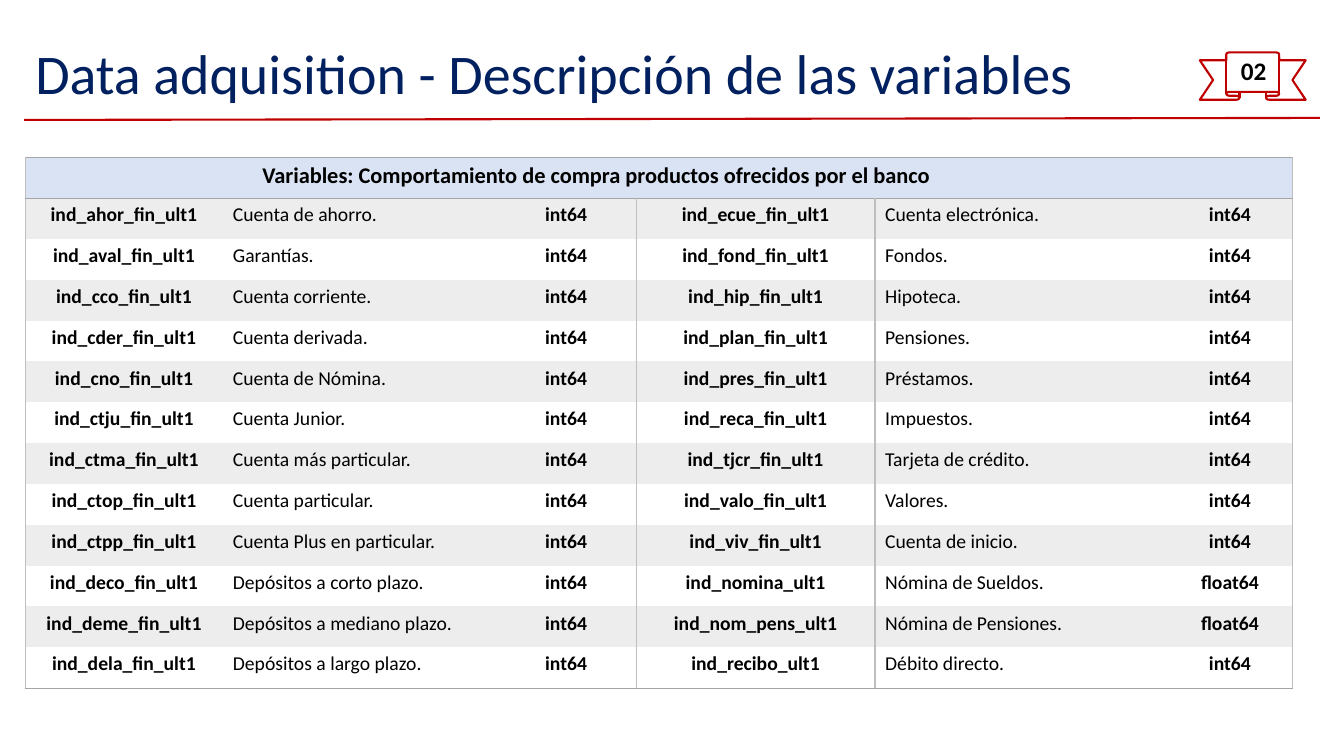
from lxml import etree
from pptx import Presentation
from pptx.dml.color import RGBColor
from pptx.enum.shapes import MSO_CONNECTOR, MSO_SHAPE
from pptx.enum.text import MSO_ANCHOR, MSO_AUTO_SIZE, PP_ALIGN
from pptx.oxml.ns import qn
from pptx.util import Inches, Pt

LEFT, CENTER = PP_ALIGN.LEFT, PP_ALIGN.CENTER
MIDDLE = MSO_ANCHOR.MIDDLE
NO_FIT, GROW = MSO_AUTO_SIZE.NONE, MSO_AUTO_SIZE.SHAPE_TO_FIT_TEXT
STRAIGHT, RIBBON = MSO_CONNECTOR.STRAIGHT, MSO_SHAPE.UP_RIBBON
RED, NAVY, BLACK = "C00000", "002060", "000000"
HEAD, BAND, SIDE, EDGE = "DAE3F3", "EDEDED", "BFBFBF", "A5A5A5"
TITLE = "Data adquisition - Descripción de las variables"
HEADER = "Variables: Comportamiento de compra productos ofrecidos por el banco"
WIDTHS = [1.96, 2.71, 1.39, 2.37, 2.9, 1.24]
HEIGHT = 5.27 / 13
ROWS = [
    ("ind_ahor_fin_ult1", "Cuenta de ahorro.", "int64",
     "ind_ecue_fin_ult1", "Cuenta electrónica.", "int64"),
    ("ind_aval_fin_ult1", "Garantías.", "int64",
     "ind_fond_fin_ult1", "Fondos.", "int64"),
    ("ind_cco_fin_ult1", "Cuenta corriente.", "int64",
     "ind_hip_fin_ult1", "Hipoteca.", "int64"),
    ("ind_cder_fin_ult1", "Cuenta derivada.", "int64",
     "ind_plan_fin_ult1", "Pensiones.", "int64"),
    ("ind_cno_fin_ult1", "Cuenta de Nómina.", "int64",
     "ind_pres_fin_ult1", "Préstamos.", "int64"),
    ("ind_ctju_fin_ult1", "Cuenta Junior.", "int64",
     "ind_reca_fin_ult1", "Impuestos.", "int64"),
    ("ind_ctma_fin_ult1", "Cuenta más particular.", "int64",
     "ind_tjcr_fin_ult1", "Tarjeta de crédito.", "int64"),
    ("ind_ctop_fin_ult1", "Cuenta particular.", "int64",
     "ind_valo_fin_ult1", "Valores.", "int64"),
    ("ind_ctpp_fin_ult1", "Cuenta Plus en particular.", "int64",
     "ind_viv_fin_ult1", "Cuenta de inicio.", "int64"),
    ("ind_deco_fin_ult1", "Depósitos a corto plazo.", "int64",
     "ind_nomina_ult1", "Nómina de Sueldos.", "float64"),
    ("ind_deme_fin_ult1", "Depósitos a mediano plazo.", "int64",
     "ind_nom_pens_ult1", "Nómina de Pensiones.", "float64"),
    ("ind_dela_fin_ult1", "Depósitos a largo plazo.", "int64",
     "ind_recibo_ult1", "Débito directo.", "int64"),
]


def color(code):
    return RGBColor.from_string(code)


def write(frame, text, size=14, hue=BLACK, bold=False, align=LEFT, lead=None):
    para = frame.paragraphs[0]
    para.alignment = align
    if lead:
        para.line_spacing = lead
    run = para.add_run()
    run.text = text
    run.font.name = "Calibri"
    run.font.size = Pt(size)
    run.font.bold = bold
    run.font.color.rgb = color(hue)


def stroke(line):
    line.color.rgb = color(RED)
    line.width = Pt(1.5)


def border(cell, side, hue):
    props = cell._tc.get_or_add_tcPr()
    line = etree.SubElement(props, qn("a:ln" + side), w=str(Pt(1)))
    if hue:
        fill = etree.SubElement(line, qn("a:solidFill"))
        etree.SubElement(fill, qn("a:srgbClr"), val=hue)
    else:
        etree.SubElement(line, qn("a:noFill"))


def paint(cell, row, col):
    bars = (0, 3, 4, 6) if row else (0, 6)
    rules = (0, 1, 13)
    border(cell, "L", SIDE if col in bars else None)
    border(cell, "R", SIDE if col + 1 in bars else None)
    border(cell, "T", EDGE if row in rules else None)
    border(cell, "B", EDGE if row + 1 in rules else None)
    if row % 2 or row == 0:
        cell.fill.solid()
        cell.fill.fore_color.rgb = color(BAND if row else HEAD)
    else:
        cell.fill.background()


def add_title(slide):
    title = slide.shapes.title
    title.left, title.top = Inches(0.25), Inches(0.41)
    title.width, title.height = Inches(11.5), Inches(0.7)
    frame = title.text_frame
    frame.auto_size = NO_FIT
    frame.vertical_anchor = MIDDLE
    write(frame, TITLE, size=40, hue=NAVY, lead=0.9)


def add_rule(slide):
    rule = slide.shapes.add_connector(
        STRAIGHT, Inches(0.24), Inches(1.19), Inches(13.09), Inches(1.17))
    stroke(rule.line)
    etree.SubElement(rule._element.spPr, qn("a:effectLst"))


def add_badge(slide):
    ribbon = slide.shapes.add_shape(
        RIBBON, Inches(11.9), Inches(0.52), Inches(1.05), Inches(0.47))
    ribbon.shadow.inherit = False
    ribbon.fill.background()
    stroke(ribbon.line)
    box = slide.shapes.add_textbox(
        Inches(12.21), Inches(0.5), Inches(0.48), Inches(0.4))
    box.text_frame.word_wrap = True
    box.text_frame.auto_size = GROW
    write(box.text_frame, "02", size=18, bold=True)


def add_grid(slide):
    grid = slide.shapes.add_table(
        len(ROWS) + 1, len(WIDTHS), Inches(0.25), Inches(1.56),
        Inches(sum(WIDTHS)), Inches(5.27)).table
    grid.first_row = grid.horz_banding = False
    for col, width in zip(grid.columns, WIDTHS):
        col.width = Inches(width)
    for row in grid.rows:
        row.height = Inches(HEIGHT)
    for row in range(len(ROWS) + 1):
        for col in range(len(WIDTHS)):
            paint(grid.cell(row, col), row, col)
    grid.cell(0, 0).merge(grid.cell(0, 4))
    write(grid.cell(0, 0).text_frame, HEADER, size=16, bold=True, align=CENTER)
    for row, texts in enumerate(ROWS, 1):
        for col, text in enumerate(texts):
            note = col % 3 == 1
            write(grid.cell(row, col).text_frame, text, bold=not note,
                  align=LEFT if note else CENTER)


def main():
    deck = Presentation()
    deck.slide_width, deck.slide_height = Inches(13.33), Inches(7.5)
    slide = deck.slides.add_slide(deck.slide_layouts[5])
    add_grid(slide)
    add_title(slide)
    add_rule(slide)
    add_badge(slide)
    deck.save("out.pptx")


if __name__ == "__main__":
    main()
